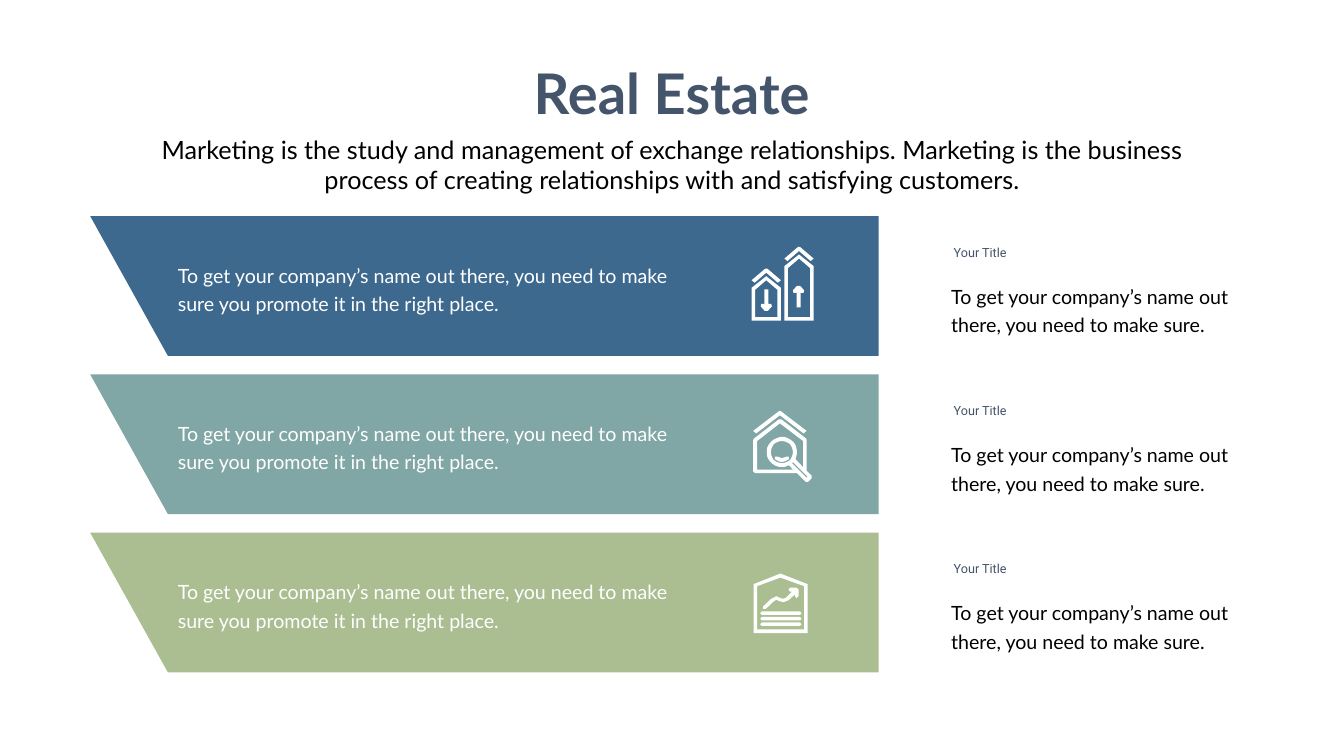
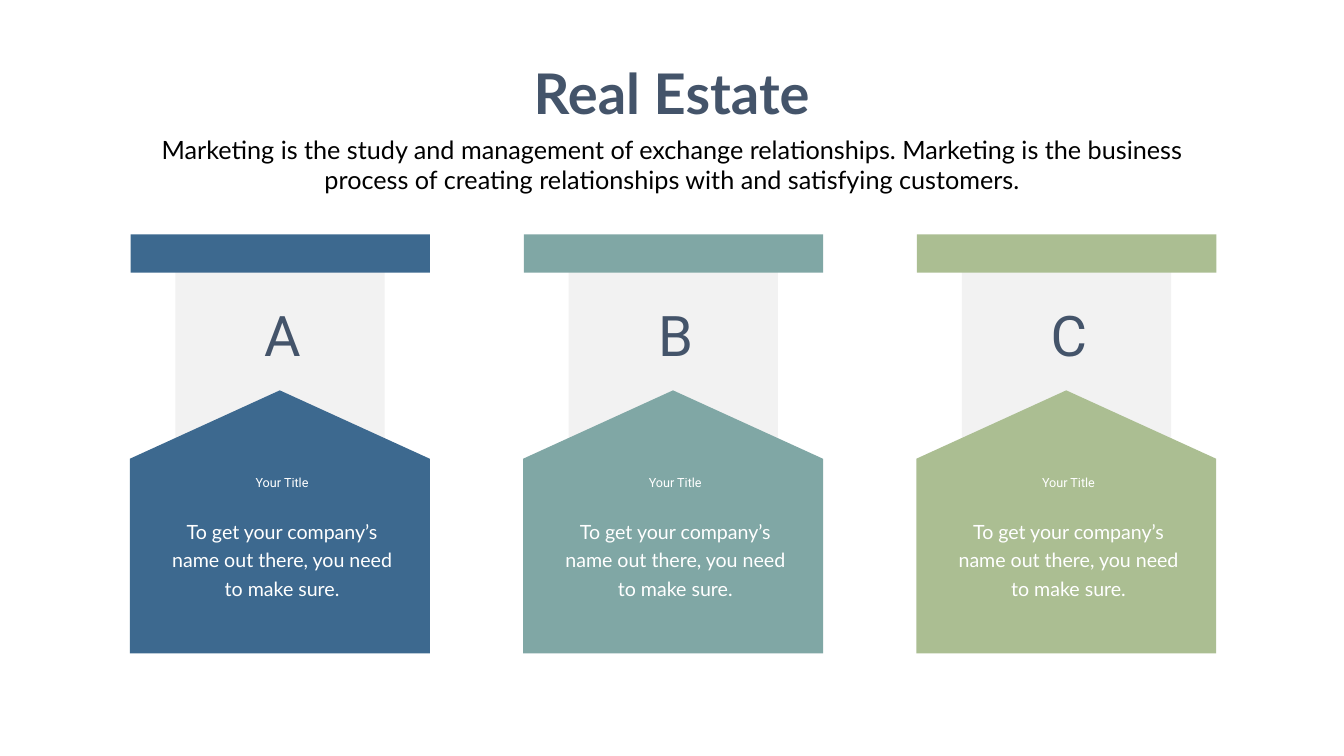
"""Build two real estate slides: slanted banners with icons, and lettered houses."""
import dataclasses
import math

import lxml.etree
import pptx
import pptx.dml.color
import pptx.enum.shapes
import pptx.enum.text
import pptx.oxml.ns
import pptx.util

Point = tuple[int, int]
Contour = list[Point]
Outline = list[Contour]

EMU_PER_PX = 9144
NAVY, WHITE, BLACK, GREY = "44546A", "FFFFFF", "000000", "808080"
ACCENTS = ["3D698F", "80A7A5", "ABBE92"]
LETTERS = ["A", "B", "C"]
ROW_TOP, ROW_PITCH = 429, 314
COLUMN_LEFT, COLUMN_PITCH = 259, 780
LEFT = pptx.enum.text.PP_ALIGN.LEFT
CENTER = pptx.enum.text.PP_ALIGN.CENTER
SHAPES = pptx.enum.shapes.MSO_SHAPE

HEADING = "Real Estate"
INTRODUCTION = (
    "Marketing is the study and management of exchange relationships. Marketing is the "
    "business process of creating relationships with and satisfying customers."
)
CARD_TITLE = "Your Title"
CARD_TEXT = "To get your company’s name out there, you need to make sure."
BANNER_TEXT = (
    "To get your company’s name out there, you need to make sure "
    "you promote it in the right place."
)


@dataclasses.dataclass(frozen=True)
class Box:
    left: int
    top: int
    width: int
    height: int

    def emu(self) -> list[int]:
        return [px(value) for value in dataclasses.astuple(self)]


@dataclasses.dataclass(frozen=True)
class TextStyle:
    size: int
    font: str
    color: str
    align: int = LEFT
    bold: bool = False
    line_points: float | None = None
    wrap: bool = True
    inset: Point = (10, 5)


TITLE_STYLE = TextStyle(80, "Lato", NAVY, CENTER, bold=True, wrap=False)
INTRODUCTION_STYLE = TextStyle(36, "Lato", BLACK, CENTER)
CARD_STYLE = TextStyle(28, "Lato", BLACK, line_points=40.8)
BANNER_STYLE = dataclasses.replace(CARD_STYLE, color=WHITE)
HOUSE_STYLE = dataclasses.replace(BANNER_STYLE, align=CENTER, inset=(24, 12))
CARD_TITLE_STYLE = TextStyle(18, "Roboto", NAVY)
HOUSE_TITLE_STYLE = TextStyle(18, "Roboto", WHITE, CENTER)
LETTER_STYLE = TextStyle(80, "Roboto", NAVY, CENTER)


def px(value: int) -> int:
    return value * EMU_PER_PX


def rgb(color: str) -> pptx.dml.color.RGBColor:
    return pptx.dml.color.RGBColor.from_string(color)


def paint(shape, color: str, opacity: int = 100) -> None:
    shape.shadow.inherit = False
    shape.line.fill.background()
    shape.fill.solid()
    shape.fill.fore_color.rgb = rgb(color)
    if opacity < 100:
        qn = pptx.oxml.ns.qn
        fill_color = shape.element.find(".//" + qn("a:srgbClr"))
        lxml.etree.SubElement(fill_color, qn("a:alpha"), val=str(opacity * 1000))


def write(shape, box: Box, text: str, style: TextStyle) -> None:
    shape.left, shape.top, shape.width, shape.height = box.emu()
    frame = shape.text_frame
    frame.text = text
    frame.word_wrap = style.wrap
    frame.auto_size = pptx.enum.text.MSO_AUTO_SIZE.SHAPE_TO_FIT_TEXT
    frame.vertical_anchor = pptx.enum.text.MSO_ANCHOR.TOP
    frame.margin_left = frame.margin_right = px(style.inset[0])
    frame.margin_top = frame.margin_bottom = px(style.inset[1])
    paragraph = frame.paragraphs[0]
    paragraph.alignment = style.align
    paragraph.space_before = pptx.util.Pt(0)
    if style.line_points:
        paragraph.line_spacing = pptx.util.Pt(style.line_points)
    font = paragraph.runs[0].font
    font.size = pptx.util.Pt(style.size)
    font.name = style.font
    font.bold = style.bold
    font.color.rgb = rgb(style.color)


def add_text(slide, box: Box, text: str, style: TextStyle) -> None:
    write(slide.shapes.add_textbox(*box.emu()), box, text, style)


def add_preset(slide, preset: int, box: Box, color: str, opacity: int = 100):
    shape = slide.shapes.add_shape(preset, *box.emu())
    paint(shape, color, opacity)
    return shape


def add_outline(slide, outline: Outline, color: str) -> None:
    builder = slide.shapes.build_freeform(*outline[0][0], scale=EMU_PER_PX)
    for contour in outline:
        builder.move_to(*contour[0])
        builder.add_line_segments(contour[1:], close=True)
    paint(builder.convert_to_shape(), color)


def arc(center: Point, radius: int, start: int, end: int) -> Contour:
    steps = 24
    angles = [math.radians(start + (end - start) * step / steps) for step in range(steps + 1)]
    return [
        (round(center[0] + radius * math.cos(angle)), round(center[1] + radius * math.sin(angle)))
        for angle in angles
    ]


def house(box: Box, eave: int) -> Outline:
    def pentagon(inset: int, apex: int, shoulder: int) -> Contour:
        left, right = box.left + inset, box.left + box.width - inset
        bottom = box.top + box.height - inset
        middle = box.left + box.width // 2
        return [(left, bottom), (left, shoulder), (middle, apex), (right, shoulder), (right, bottom)]

    return [
        pentagon(0, box.top, box.top + eave),
        pentagon(7, box.top + 8, box.top + eave + 4),
    ]


def roof(box: Box) -> Outline:
    right, bottom = box.left + box.width, box.top + box.height
    middle = box.left + box.width // 2
    return [[
        (box.left, bottom - 5), (middle - 2, box.top), (middle + 2, box.top), (right, bottom - 5),
        (right - 6, bottom), (middle, box.top + 8), (box.left + 6, bottom),
    ]]


def arrow(middle: int, tail: int, direction: int) -> Outline:
    half = [(4, 0), (4, 31), (5, 29), (10, 29), (11, 34), (3, 43)]
    profile = half + [(-across, along) for across, along in reversed(half)]
    return [[(middle + across, tail + direction * along) for across, along in profile]]


def text_line(left: int, top: int) -> Outline:
    return [[
        (left, top + 4), (left + 3, top), (left + 79, top),
        (left + 82, top + 4), (left + 79, top + 7), (left + 3, top + 7),
    ]]


def price_icon() -> list[Outline]:
    return [
        house(Box(1556, 505, 58, 131), 23),
        roof(Box(1556, 490, 58, 28)),
        house(Box(1491, 548, 58, 88), 23),
        roof(Box(1491, 533, 58, 28)),
        arrow(1520, 574, 1),
        arrow(1584, 610, -1),
    ]


def search_icon() -> list[Outline]:
    lens = (1551, 897)
    handle = [(1571, 919), (1573, 917), (1602, 946), (1600, 948)]
    wall = [(1502, 932), (1502, 875), (1547, 840), (1593, 875), (1593, 927)]
    wall += arc(lens, 30, 27, -298) + [(1573, 932)]
    rim = [
        (1610, 944), (1600, 934), (1600, 873), (1599, 870), (1550, 832), (1545, 832),
        (1496, 870), (1494, 873), (1494, 935), (1498, 939), (1581, 939), (1598, 956),
        (1603, 956), (1610, 949),
    ]
    glint = [
        (1565, 906), (1560, 906), (1551, 909), (1542, 906), (1537, 906),
        (1537, 911), (1544, 915), (1551, 917), (1558, 915), (1565, 911),
    ]
    return [roof(Box(1494, 816, 106, 44)), [rim, wall, arc(lens, 22, 0, 360), handle], [glint]]


def growth_icon() -> list[Outline]:
    trend = [
        (1530, 1188), (1514, 1203), (1514, 1208), (1519, 1208), (1535, 1193), (1540, 1190),
        (1544, 1192), (1554, 1195), (1564, 1191), (1577, 1179), (1577, 1183), (1580, 1187),
        (1584, 1183), (1584, 1170), (1580, 1166), (1567, 1166), (1564, 1170), (1567, 1174),
        (1571, 1174), (1559, 1186), (1554, 1188), (1549, 1187), (1540, 1183),
    ]
    lines = [text_line(1508, 1213 + 11 * index) for index in range(3)]
    return [house(Box(1495, 1138, 107, 118), 21), [trend], *lines]


def add_slide(presentation):
    slide = presentation.slides.add_slide(presentation.slide_layouts[0])
    write(slide.shapes.title, Box(1041, 112, 583, 145), HEADING, TITLE_STYLE)
    write(slide.placeholders[1], Box(292, 261, 2082, 131), INTRODUCTION, INTRODUCTION_STYLE)
    return slide


def add_banner(slide, top: int, color: str, icon: list[Outline]) -> None:
    bottom = top + 277
    add_outline(slide, [[(1743, bottom), (333, bottom), (179, top), (1743, top)]], color)
    add_text(slide, Box(343, top + 79, 1057, 120), BANNER_TEXT, BANNER_STYLE)
    for outline in icon:
        add_outline(slide, outline, WHITE)
    add_text(slide, Box(1882, top + 51, 357, 71), CARD_TITLE, CARD_TITLE_STYLE)
    add_text(slide, Box(1877, top + 121, 649, 119), CARD_TEXT, CARD_STYLE)


def add_lettered_house(slide, left: int, color: str, letter: str) -> None:
    add_preset(slide, SHAPES.RECTANGLE, Box(left + 89, 487, 415, 461), GREY, opacity=10)
    add_text(slide, Box(left + 225, 592, 152, 145), letter, LETTER_STYLE)
    gable = add_preset(slide, SHAPES.PENTAGON, Box(left + 35, 738, 522, 595), color)
    gable.rotation = 270
    gable.adjustments[0] = 0.26
    add_text(slide, Box(left + 53, 1009, 495, 190), CARD_TEXT, HOUSE_STYLE)
    add_text(slide, Box(left + 102, 938, 397, 71), CARD_TITLE, HOUSE_TITLE_STYLE)
    add_preset(slide, SHAPES.RECTANGLE, Box(left, 465, 594, 76), color)


def main() -> None:
    presentation = pptx.Presentation()
    presentation.slide_width, presentation.slide_height = px(2666), px(1500)

    banners = add_slide(presentation)
    icons = [price_icon(), search_icon(), growth_icon()]
    for index, (color, icon) in enumerate(zip(ACCENTS, icons)):
        add_banner(banners, ROW_TOP + ROW_PITCH * index, color, icon)

    houses = add_slide(presentation)
    for index, (color, letter) in enumerate(zip(ACCENTS, LETTERS)):
        add_lettered_house(houses, COLUMN_LEFT + COLUMN_PITCH * index, color, letter)

    presentation.save("out.pptx")


if __name__ == "__main__":
    main()
